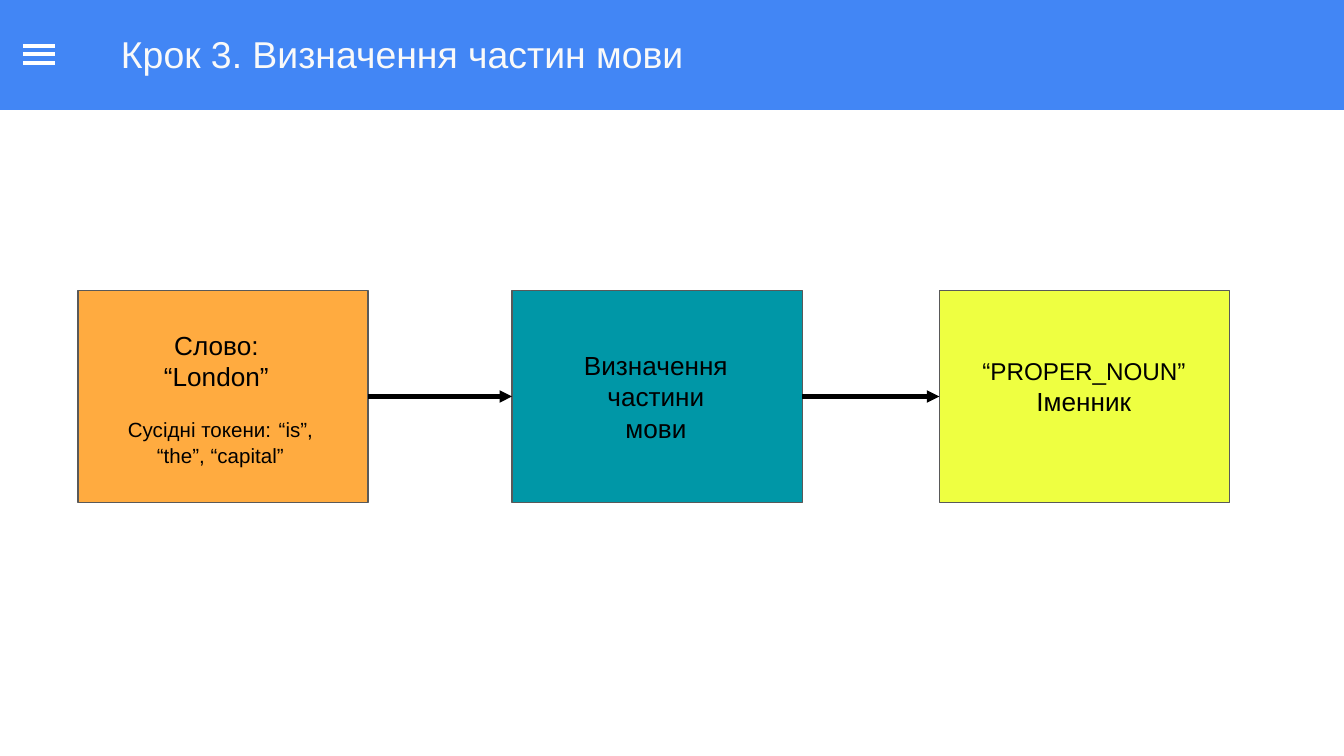
from itertools import pairwise

from lxml.etree import SubElement
from pptx import Presentation
from pptx.dml.color import RGBColor
from pptx.enum.shapes import MSO_CONNECTOR, MSO_SHAPE
from pptx.enum.text import MSO_ANCHOR, PP_ALIGN
from pptx.oxml.ns import qn
from pptx.util import Inches, Pt

COLORS = {
    "header": "4286F5",
    "title": "F9F9F9",
    "menu": "FFFFFF",
    "border": "595959",
    "ink": "000000",
    "word": "FFAB40",
    "tagger": "0097A7",
    "result": "EEFF41",
}
DECK_FORMAT = {"slide_width": Inches(10), "slide_height": Inches(10) * 9 // 16}
TITLE_FORMAT = {
    "left": Inches(0.8),
    "top": Inches(0.12),
    "width": Inches(8.86),
    "height": Inches(0.56),
}
FRAME_FORMAT = {
    "word_wrap": True,
    "margin_left": Inches(0.1),
    "margin_top": Inches(0.1),
    "margin_right": Inches(0.1),
    "margin_bottom": Inches(0.1),
}
STEPS = [(0.58, "word"), (3.81, "tagger"), (6.99, "result")]
LABELS = [
    ((0.9, 2.35, 1.42, 0.52), [[("Слово:", 14)], [("“London”", 14)]]),
    ((0.8, 2.96, 1.68, 0.52),
     [[("Сусідні токени:", 11), (" ", 14), ("“is”, “the”, “capital”", 11)]]),
    ((4.17, 2.5, 1.42, 0.52), [[("Визначення", 14)], [("частини мови", 14)]]),
    ((7.18, 2.55, 1.77, 0.52), [[("“PROPER_NOUN”", 13)], [("Іменник", 14)]]),
]


def rgb(name):
    """Return the named colour."""
    return RGBColor.from_string(COLORS[name])


def apply_format(target, values):
    """Set every attribute in values on target."""
    for attribute, value in values.items():
        setattr(target, attribute, value)


def write_text(frame, paragraphs, color, align, anchor):
    """Fill a text frame with paragraphs of (wording, size) runs."""
    apply_format(frame, {**FRAME_FORMAT, "vertical_anchor": anchor})
    for index, runs in enumerate(paragraphs):
        paragraph = frame.add_paragraph() if index else frame.paragraphs[0]
        paragraph.alignment = align
        for wording, size in runs:
            run = paragraph.add_run()
            run.text = wording
            apply_format(run.font, {"name": "Arial", "size": Pt(size)})
            run.font.color.rgb = rgb(color)


def add_box(slide, bounds, fill, border):
    """Add a filled rectangle with a thin border."""
    box = slide.shapes.add_shape(MSO_SHAPE.RECTANGLE, *map(Inches, bounds))
    box.shadow.inherit = False
    box.fill.solid()
    box.fill.fore_color.rgb = rgb(fill)
    box.line.color.rgb = rgb(border)
    box.line.width = Pt(0.75)
    return box


def add_line(slide, start, end, color):
    """Add a straight line without a shadow."""
    line = slide.shapes.add_connector(
        MSO_CONNECTOR.STRAIGHT, *map(Inches, (*start, *end)))
    line.line.color.rgb = rgb(color)
    line.line.width = Pt(2.25)
    SubElement(line.element.spPr, qn("a:effectLst"))
    return line


def add_arrow(slide, source, target):
    """Join two boxes with an arrow from right side to left side."""
    arrow = add_line(slide, (0, 0), (0, 0), "ink")
    arrow.begin_connect(source, 3)
    arrow.end_connect(target, 1)
    SubElement(arrow.element.spPr.find(qn("a:ln")), qn("a:tailEnd"), type="triangle")


def add_header(slide):
    """Build the title bar with its menu icon."""
    add_box(slide, (0, -0.01, 10, 0.82), "header", "header")
    title = slide.shapes.title
    slide.shapes.element.append(title.element)
    apply_format(title, TITLE_FORMAT)
    write_text(title.text_frame, [[("Крок 3. Визначення частин мови", 20)]],
               "title", PP_ALIGN.LEFT, MSO_ANCHOR.MIDDLE)
    for y in (0.34, 0.4, 0.47):
        add_line(slide, (0.17, y), (0.41, y), "menu")


def add_label(slide, bounds, paragraphs):
    """Add a centred text box."""
    label = slide.shapes.add_textbox(*map(Inches, bounds))
    write_text(label.text_frame, paragraphs, "ink", PP_ALIGN.CENTER, MSO_ANCHOR.TOP)


def main():
    """Build and save the slide."""
    deck = Presentation()
    apply_format(deck, DECK_FORMAT)
    slide = deck.slides.add_slide(deck.slide_layouts[5])
    add_header(slide)
    steps = [add_box(slide, (left, 2.16, 2.16, 1.58), fill, "border")
             for left, fill in STEPS]
    for bounds, paragraphs in LABELS:
        add_label(slide, bounds, paragraphs)
    for source, target in pairwise(steps):
        add_arrow(slide, source, target)
    deck.save("out.pptx")


if __name__ == "__main__":
    main()
